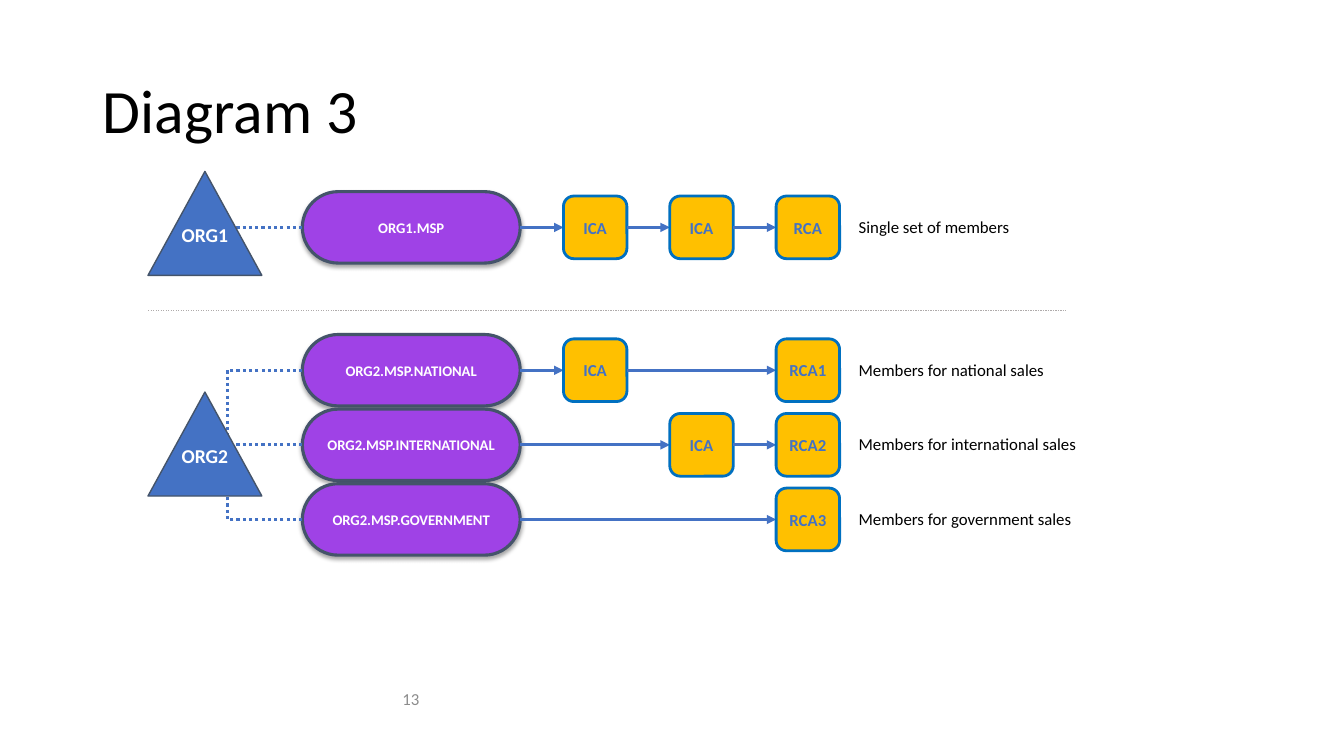
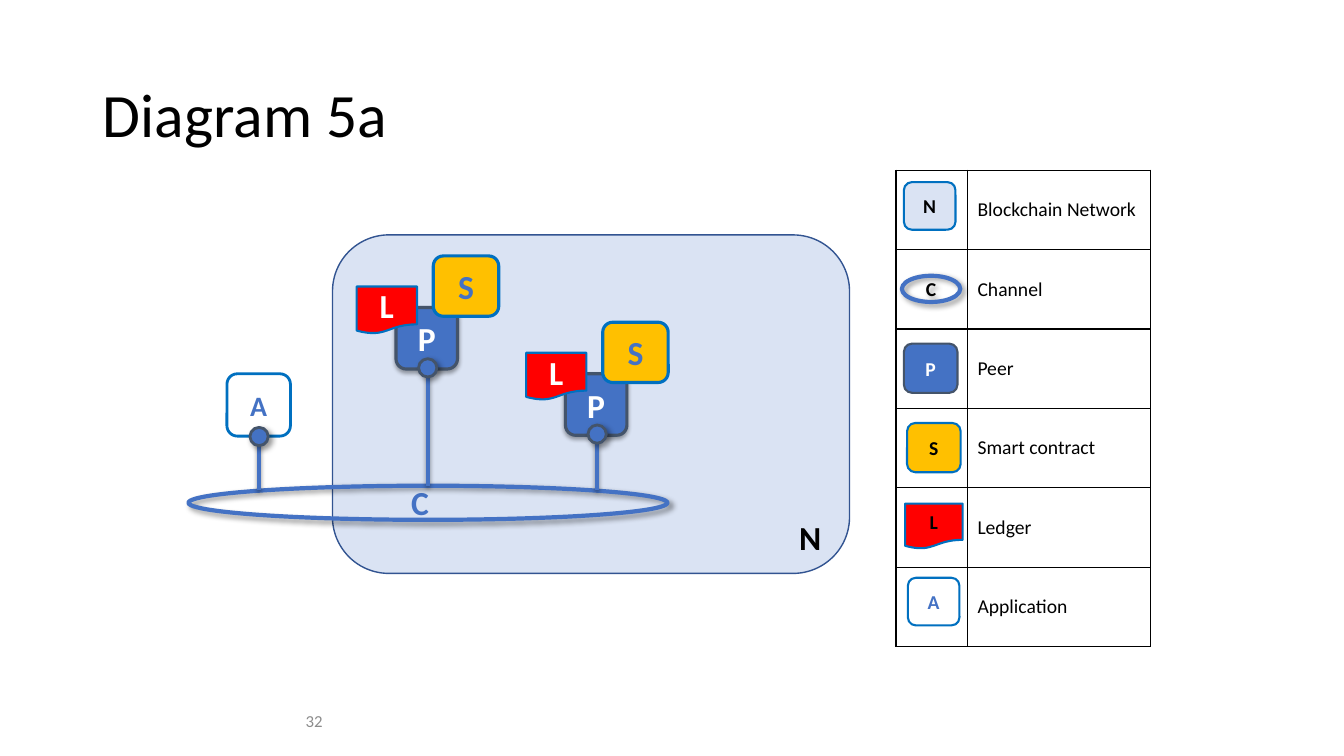
from lxml import etree
from pptx import Presentation
from pptx.dml.color import RGBColor
from pptx.enum import dml, shapes, text
from pptx.oxml import ns
from pptx.util import Cm, Pt

FONT = "Calibri"
BLACK, WHITE, GREY = "000000", "FFFFFF", "8C8C8C"
BLUE, AZURE, SLATE, NAVY = "4472C4", "0070C0", "44546A", "325491"
GOLD, RED, PURPLE, PALE, SILVER = "FFC000", "FF0000", "9F42E6", "DAE3F3", "AFABAB"

KIND = shapes.MSO_SHAPE
ROUND, OVAL, PAGE = KIND.ROUNDED_RECTANGLE, KIND.OVAL, KIND.FLOWCHART_DOCUMENT
LEFT, MID, RIGHT = text.PP_ALIGN.LEFT, text.PP_ALIGN.CENTER, text.PP_ALIGN.RIGHT
DOTS, DASH = dml.MSO_LINE.ROUND_DOT, dml.MSO_LINE.DASH

# Shadows: opacity in percent, blur and distance in points, angle in degrees
SOFT = (35, 3.1, 1.8, 90)
SLANT = (40, 4, 3, 45)
DROP = (38, 3.1, 1.6, 90)


def rgb(code):
    return RGBColor.from_string(code)


def sub(node, tag, **attrs):
    child = etree.SubElement(node, ns.qn(tag))
    for key, value in attrs.items():
        child.set(key, str(value))
    return child


def cast(effects, shade):
    """Fill an effect list with an outer shadow."""
    alpha, blur, dist, angle = shade
    outer = sub(effects, "a:outerShdw", blurRad=int(Pt(blur)), dist=int(Pt(dist)),
                dir=angle * 60000, algn="ctr", rotWithShape=0)
    tint = sub(outer, "a:srgbClr", val=BLACK)
    sub(tint, "a:alpha", val=alpha * 1000)


def write(frame, words, size, color, bold=False, align=LEFT):
    para = frame.paragraphs[0]
    para.alignment = align
    run = para.add_run()
    run.text = words
    font = run.font
    font.name, font.size, font.bold = FONT, Pt(size), bold
    font.color.rgb = rgb(color)
    return para


def bare(frame):
    """Drop the insets and centre the text upright."""
    frame.margin_left = frame.margin_right = 0
    frame.margin_top = frame.margin_bottom = 0
    frame.vertical_anchor = text.MSO_ANCHOR.MIDDLE
    frame.word_wrap = True


def label(slide, box, words, size, color=BLACK, bold=False, align=LEFT):
    frame = slide.shapes.add_textbox(*map(Cm, box)).text_frame
    bare(frame)
    write(frame, words, size, color, bold, align)


def block(slide, kind, box, fill, edge, width, words="", size=12, color=WHITE, shade=None):
    shape = slide.shapes.add_shape(kind, *map(Cm, box))
    shape.shadow.inherit = False
    if shade:
        cast(shape._element.spPr.find(ns.qn("a:effectLst")), shade)
    if fill:
        shape.fill.solid()
        shape.fill.fore_color.rgb = rgb(fill)
    else:
        shape.fill.background()
    shape.line.color.rgb = rgb(edge)
    shape.line.width = Pt(width)
    bare(shape.text_frame)
    if words:
        write(shape.text_frame, words, size, color, True, MID)
    return shape


def wire(slide, start, end, width=2.25, color=BLUE, dash=None, head=False,
         bent=False, shade=None):
    """Join two points; a bent wire runs level first, then upright."""
    kind = shapes.MSO_CONNECTOR.ELBOW if bent else shapes.MSO_CONNECTOR.STRAIGHT
    link = slide.shapes.add_connector(kind, *map(Cm, start + end))
    props = link._element.spPr
    if bent:
        props.find(ns.qn("a:prstGeom")).set("prst", "bentConnector2")
    link.line.color.rgb = rgb(color)
    link.line.width = Pt(width)
    if dash:
        link.line.dash_style = dash
    if head:
        sub(props.find(ns.qn("a:ln")), "a:tailEnd", type="triangle")
    effects = sub(props, "a:effectLst")
    if shade:
        cast(effects, shade)


def start(deck, title, top, number, spot):
    """Add a slide with its title and page number."""
    slide = deck.slides.add_slide(deck.slide_layouts[5])
    head = slide.shapes.title
    head.left, head.top, head.width, head.height = map(Cm, (2.34, top, 29.21, 3.68))
    head.text_frame.vertical_anchor = text.MSO_ANCHOR.MIDDLE
    write(head.text_frame, title, 44, BLACK).line_spacing = 0.9
    label(slide, (*spot, 7.37, 1.02), number, 12, GREY, align=RIGHT)
    return slide


# Member diagram

PILL_X, PILL_W, PILL_H = 7.62, 5.49, 1.8
NODE_X, NODE_W, NODE_H, NODE_GAP = 14.2, 1.6, 1.58, 2.68


def row(slide, mid, name, nodes, note):
    """Draw a provider, its chain of authorities and a note, centred on mid."""
    pill = block(slide, ROUND, (PILL_X, mid - PILL_H / 2, PILL_W, PILL_H), PURPLE,
                 SLATE, 2.25, name, 10.5, shade=SOFT)
    pill.adjustments[0] = 0.5
    tail = PILL_X + PILL_W
    for col, words in nodes:
        x = NODE_X + col * NODE_GAP
        wire(slide, (tail, mid), (x, mid), head=True)
        block(slide, ROUND, (x, mid - NODE_H / 2, NODE_W, NODE_H), GOLD, AZURE, 2,
              words, 12, BLUE)
        tail = x + NODE_W
    label(slide, (21.64, mid - 0.4, 7, 0.76), note, 12)


def org(slide, x, y, name, mids):
    """Draw an organisation with dotted links to the rows at mids."""
    hub = y + 1.36
    for mid in mids:
        if abs(mid - hub) < 0.5:
            wire(slide, (x + 2.07, mid), (PILL_X, mid), dash=DOTS)
        else:
            wire(slide, (PILL_X, mid), (x + 2, hub), dash=DOTS, bent=True)
    shape = block(slide, KIND.ISOSCELES_TRIANGLE, (x, y, 2.87, 2.62), BLUE, SLATE, 1,
                  name, 14)
    shape.text_frame.vertical_anchor = text.MSO_ANCHOR.TOP


def members(deck):
    slide = start(deck, "Diagram 3", 1.02, "13", (3.2, 17.1))
    left = 3.73
    groups = [
        ("ORG1", 4.32, 5.73, [
            ("ORG1.MSP", [(0, "ICA"), (1, "ICA"), (2, "RCA")], "Single set of members")]),
        ("ORG2", 9.88, 9.33, [
            ("ORG2.MSP.NATIONAL", [(0, "ICA"), (2, "RCA1")], "Members for national sales"),
            ("ORG2.MSP.INTERNATIONAL", [(1, "ICA"), (2, "RCA2")],
             "Members for international sales"),
            ("ORG2.MSP.GOVERNMENT", [(2, "RCA3")], "Members for government sales")]),
    ]
    for name, top, first, rows in groups:
        mids = [first + i * 1.88 for i in range(len(rows))]
        for mid, parts in zip(mids, rows):
            row(slide, mid, *parts)
        org(slide, left, top, name, mids)
    wire(slide, (left, 7.82), (26.87, 7.82), 0.25, SILVER, DASH)


# Network diagram

def stem(slide, x, y, end):
    """Tie a knob centred on x, y to the channel below."""
    wire(slide, (x, y), (x, end), 3, shade=DROP)
    block(slide, OVAL, (x - 0.23, y - 0.23, 0.46, 0.46), BLUE, SLATE, 2, shade=SLANT)


def peer(slide, x, y, end):
    block(slide, ROUND, (x, y, 1.55, 1.55), BLUE, SLATE, 2.25, "P", 24, shade=SOFT)
    block(slide, PAGE, (x - 0.99, y - 0.53, 1.52, 1.19), RED, AZURE, 1.5, "L", 24)
    block(slide, ROUND, (x + 0.94, y - 1.3, 1.65, 1.52), GOLD, AZURE, 2.25, "S", 24, BLUE)
    stem(slide, x + 0.8, y + 1.52, end)


def app(slide, x, y, end):
    block(slide, ROUND, (x, y, 1.6, 1.57), WHITE, AZURE, 2, "A", 20, BLUE)
    stem(slide, x + 0.81, y + 1.58, end)


def rule(cell):
    """Give a cell thin black borders and no fill."""
    props = cell._tc.get_or_add_tcPr()
    for side in "LRTB":
        line = sub(props, "a:ln" + side, w=int(Pt(1)))
        sub(sub(line, "a:solidFill"), "a:srgbClr", val=BLACK)
    cell.fill.background()


def legend(slide, x, y):
    # Icon box is relative to its cell
    items = [
        ("N", "Blockchain Network", ROUND, (0.2, 0.3, 1.3, 1.2), PALE, AZURE, BLACK),
        ("C", "Channel", OVAL, (0.15, 0.66, 1.47, 0.66), None, BLUE, BLACK),
        ("P", "Peer", ROUND, (0.2, 0.37, 1.35, 1.24), BLUE, SLATE, WHITE),
        ("S", "Smart contract", ROUND, (0.28, 0.37, 1.35, 1.24), GOLD, AZURE, BLACK),
        ("L", "Ledger", PAGE, (0.23, 0.4, 1.45, 1.14), RED, AZURE, BLACK),
        ("A", "Application", ROUND, (0.3, 0.27, 1.3, 1.2), WHITE, AZURE, BLUE),
    ]
    widths, high = (1.8, 4.62), 2
    table = slide.shapes.add_table(len(items), 2, Cm(x), Cm(y), Cm(sum(widths)),
                                   Cm(high * len(items))).table
    table.first_row = table.horz_banding = False
    for col, width in zip(table.columns, widths):
        col.width = Cm(width)
    for i, (sign, name, kind, (dx, dy, w, h), fill, edge, color) in enumerate(items):
        table.rows[i].height = Cm(high)
        for cell in table.rows[i].cells:
            rule(cell)
        cell = table.cell(i, 1)
        cell.vertical_anchor = text.MSO_ANCHOR.MIDDLE
        write(cell.text_frame, name, 14, BLACK)
        ring = kind == OVAL
        block(slide, kind, (x + dx, y + i * high + dy, w, h), fill, edge,
              3 if ring else 1.5, sign, 14, color, SLANT if ring else None)


def network(deck):
    slide = start(deck, "Diagram 5a", 1.12, "32", (0.76, 17.65))
    block(slide, ROUND, (8.38, 5.92, 13.03, 8.53), PALE, NAVY, 1)
    label(slide, (20.14, 13.03, 1, 1.02), "N", 24, bold=True)
    legend(slide, 22.58, 4.29)
    label(slide, (10.36, 12.14, 1, 1.02), "C", 24, BLUE, True)
    block(slide, OVAL, (4.75, 12.24, 12.07, 0.86), None, BLUE, 3, shade=SLANT)
    app(slide, 5.72, 9.42, 12.34)
    peer(slide, 14.25, 9.42, 12.34)
    peer(slide, 9.98, 7.75, 12.24)


def main():
    deck = Presentation()
    deck.slide_width, deck.slide_height = Cm(33.87), Cm(19.05)
    members(deck)
    network(deck)
    deck.save("out.pptx")


if __name__ == "__main__":
    main()
